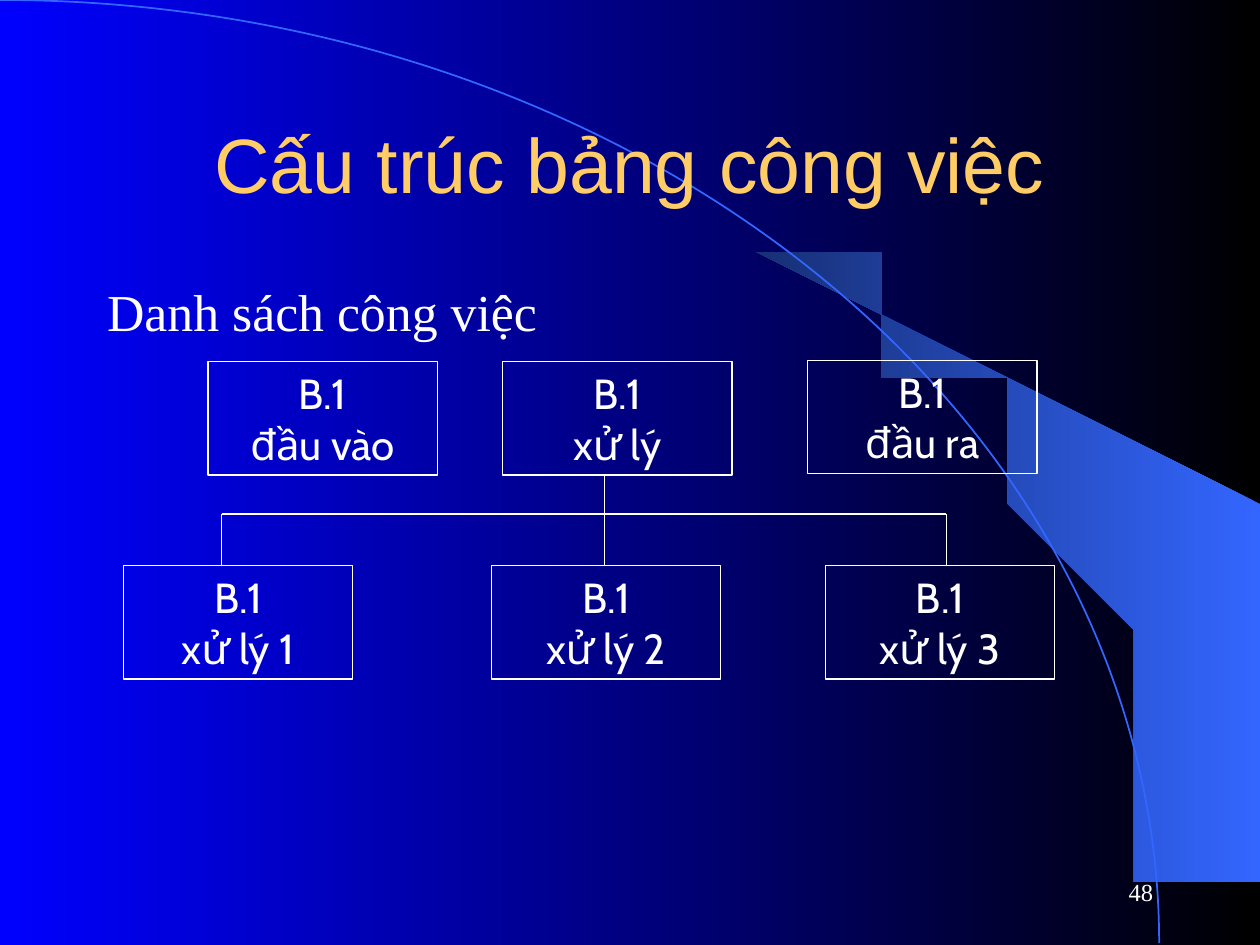
import pptx
import pptx.dml.color
import pptx.enum.shapes
import pptx.enum.text
import pptx.oxml.ns
import pptx.util
from lxml import etree

Inches = pptx.util.Inches
Pt = pptx.util.Pt
ALIGN = pptx.enum.text.PP_ALIGN
ANCHOR = pptx.enum.text.MSO_ANCHOR
FIT = pptx.enum.text.MSO_AUTO_SIZE
SHAPE = pptx.enum.shapes.MSO_SHAPE

HUES = {"black": "000000", "blue": "0000FF", "sky": "3366FF",
        "navy": "172F75", "gold": "FFCC66", "white": "FFFFFF"}

BOX_W, BOX_H = 1.82, 0.9
TOP_Y, LOW_Y, BAR_Y = 2.87, 4.49, 4.08
BOXES = [
    ("đầu vào", 1.65, TOP_Y), ("xử lý", 3.99, TOP_Y), ("đầu ra", 6.41, 2.86),
    ("xử lý 1", 0.98, LOW_Y), ("xử lý 2", 3.9, LOW_Y), ("xử lý 3", 6.55, LOW_Y),
]
LEFT_X, MID_X, RIGHT_X = 1.76, 4.8, 7.51
LINES = [
    (MID_X, TOP_Y + BOX_H, MID_X, LOW_Y),
    (LEFT_X, BAR_Y, RIGHT_X, BAR_Y),
    (LEFT_X, BAR_Y, LEFT_X, LOW_Y),
    (RIGHT_X, BAR_Y, RIGHT_X, LOW_Y),
]
BEAM = [
    (9.2, 7.48), (9.99, 7.49), (9.99, 4.23), (5.89, 1.73), (6.24, 1.99),
    (6.53, 2.22), (6.85, 2.5), (7.16, 2.8), (7.62, 3.3), (8.03, 3.84),
    (8.32, 4.31), (8.58, 4.79), (8.78, 5.28), (8.93, 5.72), (9.03, 6.09),
    (9.13, 6.56), (9.17, 6.96),
]


def rgb(name):
    return pptx.dml.color.RGBColor.from_string(HUES[name])


def shade(fill, *names):
    """Fill with a gradient that runs from right to left."""
    fill.gradient()
    fill.gradient_angle = 180
    for stop, name in zip(fill.gradient_stops, names):
        stop.color.rgb = rgb(name)


def stroke(shape, name, width):
    shape.line.color.rgb = rgb(name)
    shape.line.width = Pt(width)


def place(shape, *box):
    for key, value in zip(("left", "top", "width", "height"), box):
        setattr(shape, key, Inches(value))


def write(shape, lines, font, size, hue="white", align=ALIGN.LEFT,
          anchor=ANCHOR.TOP, fit=FIT.NONE):
    frame = shape.text_frame
    frame.text = "\n".join(lines)
    form = {"word_wrap": True, "auto_size": fit, "vertical_anchor": anchor}
    for key, value in form.items():
        setattr(frame, key, value)
    for para in frame.paragraphs:
        para.alignment = align
        para.space_before = Pt(0)
        face = para.runs[0].font
        for key, value in {"name": font, "size": Pt(size)}.items():
            setattr(face, key, value)
        face.color.rgb = rgb(hue)


def add_beam(slide):
    pen = slide.shapes.build_freeform(*BEAM[0], scale=Inches(1))
    pen.add_line_segments(BEAM[1:], close=True)
    beam = pen.convert_to_shape()
    beam.shadow.inherit = False
    shade(beam.fill, "sky", "navy")
    beam.line.fill.background()


def add_arc(slide):
    arc = slide.shapes.add_shape(
        SHAPE.ARC, Inches(-9.2), Inches(0), Inches(18.4), Inches(14.97))
    arc.shadow.inherit = False
    arc.fill.background()
    stroke(arc, "sky", 1)


def add_box(slide, label, x, y):
    box = slide.shapes.add_shape(
        SHAPE.RECTANGLE, Inches(x), Inches(y), Inches(BOX_W), Inches(BOX_H))
    box.shadow.inherit = False
    box.fill.background()
    stroke(box, "white", 0.75)
    write(box, ["B.1", label], "Cabin", 24, align=ALIGN.CENTER,
          fit=FIT.SHAPE_TO_FIT_TEXT)


def add_line(slide, *ends):
    line = slide.shapes.add_connector(
        pptx.enum.shapes.MSO_CONNECTOR.STRAIGHT, *map(Inches, ends))
    stroke(line, "white", 0.75)
    etree.SubElement(line.element.spPr, pptx.oxml.ns.qn("a:effectLst"))


def add_title(slide):
    title = slide.shapes.title
    place(title, 0.75, 0.67, 8.5, 1.25)
    write(title, ["Cấu trúc bảng công việc"], "Arial", 44, "gold",
          ALIGN.CENTER, ANCHOR.MIDDLE)


def add_body(slide):
    body = slide.placeholders[1]
    place(body, 0.75, 2.17, 8.5, 0.62)
    write(body, ["Danh sách công việc"], "Times New Roman", 29.6)
    props = body.text_frame.paragraphs[0]._p.get_or_add_pPr()
    props.set("marL", str(Inches(0.38)))
    props.set("indent", str(Inches(-0.38)))
    etree.SubElement(props, pptx.oxml.ns.qn("a:buNone"))


def add_number(slide):
    note = slide.shapes.add_textbox(
        Inches(7.17), Inches(6.83), Inches(2.08), Inches(0.5))
    write(note, ["48"], "Times New Roman", 14, align=ALIGN.RIGHT,
          anchor=ANCHOR.MIDDLE)


def main():
    deck = pptx.Presentation()
    deck.slide_width, deck.slide_height = Inches(10), Inches(7.5)
    slide = deck.slides.add_slide(deck.slide_layouts[1])
    shade(slide.background.fill, "black", "blue")
    add_beam(slide)
    add_arc(slide)
    # The placeholders come first in the tree; lift them above the backdrop.
    for holder in list(slide.placeholders):
        slide.shapes.element.append(holder.element)
    add_title(slide)
    add_body(slide)
    for box in BOXES:
        add_box(slide, *box)
    for ends in LINES:
        add_line(slide, *ends)
    add_number(slide)
    deck.save("out.pptx")


if __name__ == "__main__":
    main()
